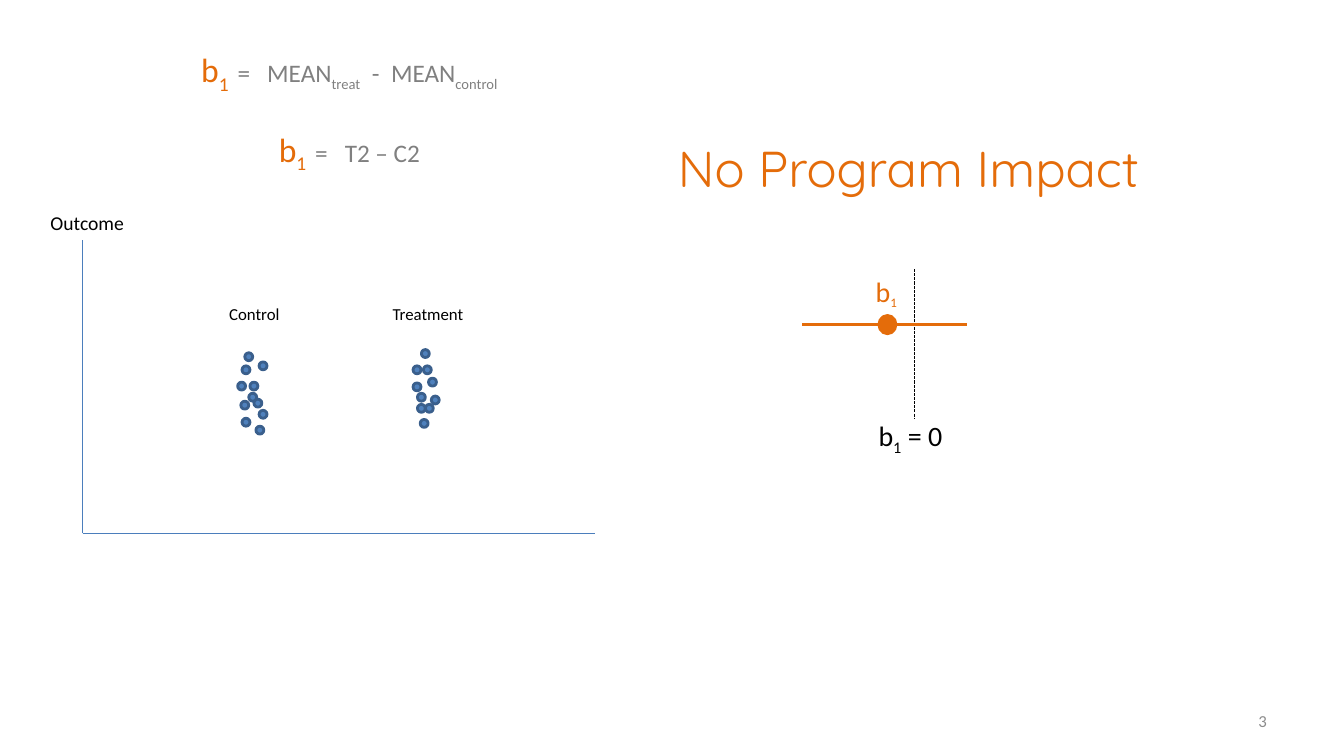
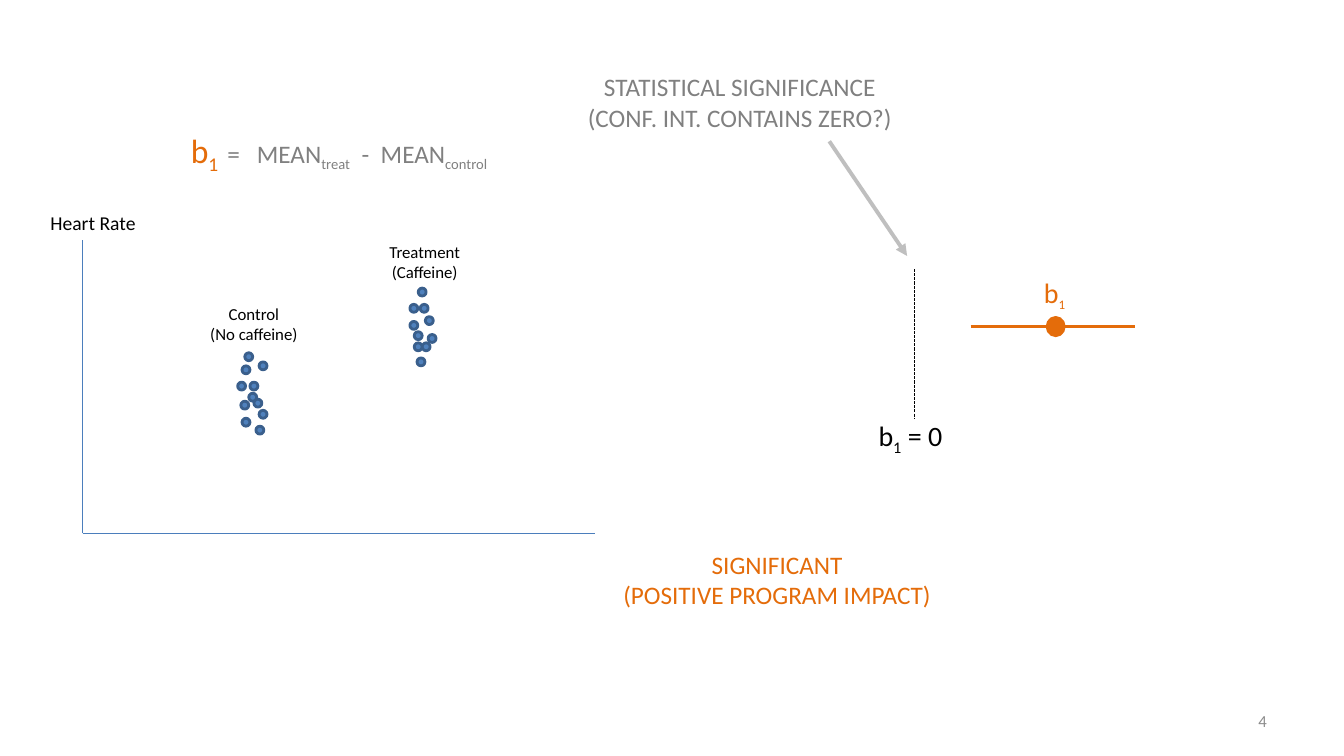
from lxml import etree
from pptx import Presentation
from pptx.dml.color import RGBColor
from pptx.enum import dml, shapes, text
from pptx.oxml.ns import qn
from pptx.util import Cm, Pt

HUES = {
    "ink": "000000", "orange": "E46C0A", "gray": "808080", "pale": "BFBFBF",
    "page": "8C8C8C", "axis": "4B7EBC", "dot": "4F81BD", "rim": "3A5F8C",
}
LEFT, MID, RIGHT = text.PP_ALIGN.LEFT, text.PP_ALIGN.CENTER, text.PP_ALIGN.RIGHT

# Dot places in cm
CONTROL = [(5.99, 9.63), (6.3, 9.63), (6.27, 9.91), (6.07, 10.11),
           (6.53, 10.34), (6.1, 10.54), (6.45, 10.74), (6.53, 9.12),
           (6.17, 8.89), (6.1, 9.22), (6.4, 10.06)]
TREAT = [(10.41, 9.65), (10.41, 9.22), (10.8, 9.53), (10.87, 9.98),
         (10.52, 10.19), (10.72, 10.19), (10.59, 10.57), (10.62, 8.81),
         (10.67, 9.22), (10.52, 9.91)]

# Formula pieces: text, size, colour, subscript, extra space after in points
SLOPE = [("b", 24, "orange", False, 0), ("1", 24, "orange", True, 0),
         (" ", 24, "orange", True, 3.2), ("=", 18, "gray", False, 0),
         (" ", 18, "gray", False, 8.1)]
GAP = (" ", 18, "gray", False, 4.1)
MEANS = SLOPE + [("MEAN", 18, "gray", False, 0), ("treat", 18, "gray", True, 0),
                 GAP, ("-", 18, "gray", False, 0), GAP,
                 ("MEAN", 18, "gray", False, 0), ("control", 18, "gray", True, 0)]
TERMS = SLOPE + [("T2 – C2", 18, "gray", False, 0)]
ZERO = [("b", 20, "ink", False, 0), ("1", 20, "ink", True, 0),
        (" = 0", 20, "ink", False, 0)]
BETA = [("b", 20, "orange", False, 0), ("1", 16, "orange", True, 0)]


class Deck:
    font = "Calibri"

    def __init__(self):
        self.prs = Presentation()
        self.prs.slide_width, self.prs.slide_height = Cm(33.87), Cm(19.05)
        self.slide = None

    def hue(self, name):
        return RGBColor.from_string(HUES[name])

    def page(self, number):
        self.slide = self.prs.slides.add_slide(self.prs.slide_layouts[6])
        foot = self.label(str(number), 24.28, 17.65, 7.9, 1.02, 12, "page", RIGHT, True)
        foot.auto_size = text.MSO_AUTO_SIZE.NONE
        foot.vertical_anchor = text.MSO_ANCHOR.MIDDLE

    # Text
    def frame(self, x, y, w, h, wrap=False):
        box = self.slide.shapes.add_textbox(Cm(x), Cm(y), Cm(w), Cm(h))
        box.text_frame.word_wrap = wrap
        box.text_frame.auto_size = text.MSO_AUTO_SIZE.SHAPE_TO_FIT_TEXT
        return box.text_frame

    def style(self, run, size, hue, font=None):
        run.font.size, run.font.name = Pt(size), font or self.font
        run.font.color.rgb = self.hue(hue)

    def label(self, words, x, y, w, h, size, hue="ink", align=MID, wrap=False, font=None):
        frame = self.frame(x, y, w, h, wrap)
        frame.text = words
        for par in frame.paragraphs:
            par.alignment = align
            for run in par.runs:
                self.style(run, size, hue, font)
        return frame

    def formula(self, rows, x, y, w, h, align=MID):
        frame = self.frame(x, y, w, h)
        for i, row in enumerate(rows):
            par = frame.add_paragraph() if i else frame.paragraphs[0]
            par.alignment = align
            par.space_before = Pt(24 if i else 0)
            for words, size, hue, sub, gap in row:
                run = par.add_run()
                run.text = words
                self.style(run, size, hue)
                props = run._r.get_or_add_rPr()
                if sub:
                    props.set("baseline", "-25000")
                if gap:
                    props.set("spc", str(round(gap * 100)))

    # Lines and dots
    def line(self, x, y, x2, y2, hue, width, dash=None, arrow=False):
        link = self.slide.shapes.add_connector(
            shapes.MSO_CONNECTOR.STRAIGHT, Cm(x), Cm(y), Cm(x2), Cm(y2))
        link.line.color.rgb, link.line.width = self.hue(hue), Pt(width)
        if dash:
            link.line.dash_style = dash
        if arrow:
            etree.SubElement(link.line._get_or_add_ln(), qn("a:tailEnd"), type="triangle")
        etree.SubElement(link._element.spPr, qn("a:effectLst"))

    def dot(self, x, y, w=0.2, h=0.2, fill="dot", rim="rim"):
        mark = self.slide.shapes.add_shape(
            shapes.MSO_SHAPE.OVAL, Cm(x), Cm(y), Cm(w), Cm(h))
        mark.shadow.inherit = False
        mark.fill.solid()
        mark.fill.fore_color.rgb = self.hue(fill)
        mark.line.color.rgb, mark.line.width = self.hue(rim), Pt(2)

    # Scatter of both groups; dx and dy move the treatment group
    def plot(self, title, width, dx=0, dy=0):
        self.line(2.08, 13.44, 14.99, 13.44, "axis", 0.75)
        self.line(2.08, 13.44, 2.08, 6.05, "axis", 0.75)
        self.label(title, 1.02, 5.18, width, 0.86, 14, align=LEFT)
        for x, y in CONTROL + [(x + dx, y + dy) for x, y in TREAT]:
            self.dot(x, y)

    # Interval around b1, beside the zero line
    def range(self, x, y):
        self.line(23.04, 6.78, 23.04, 10.57, "ink", 0.75, dml.MSO_LINE.SQUARE_DOT)
        self.formula([ZERO], 21.89, 10.41, 2.16, 1.12, LEFT)
        self.line(x, y, x + 4.15, y, "orange", 2)
        self.formula([BETA], x + 1.6, y - 1.4, 1.07, 1.12, LEFT)
        self.dot(x + 1.93, y - 0.23, 0.43, 0.46, "orange", "orange")


deck = Deck()

# No impact
deck.page(3)
deck.plot("Outcome", 2.39)
deck.label("Treatment", 9.63, 7.52, 2.31, 0.77, 12)
deck.label("Control", 5.51, 7.52, 1.8, 0.77, 12)
deck.range(20.22, 8.18)
deck.label("No Program Impact", 16.48, 3.33, 12.83, 1.8, 36, "orange", font="Quicksand")
deck.formula([MEANS, TERMS], 4.6, 1.12, 8.41, 3.33)

# Positive impact
deck.page(4)
deck.plot("Heart Rate", 2.69, -0.08, -1.55)
deck.label("Treatment\v(Caffeine)", 9.55, 5.97, 2.31, 1.27, 12)
deck.label("Control\v(No caffeine)", 5.03, 7.52, 2.74, 1.27, 12)
deck.range(24.46, 8.23)
deck.label("SIGNIFICANT\n(POSITIVE PROGRAM IMPACT)", 15.42, 13.72, 8.33, 1.8, 18, "orange")
deck.formula([MEANS], 4.34, 3.15, 8.41, 1.27)
deck.label("STATISTICAL SIGNIFICANCE\v(CONF. INT. CONTAINS ZERO?)",
           14.25, 1.68, 8.79, 1.8, 18, "gray", wrap=True)
deck.line(20.9, 3.56, 22.86, 6.45, "pale", 2.75, arrow=True)

deck.prs.save("out.pptx")
